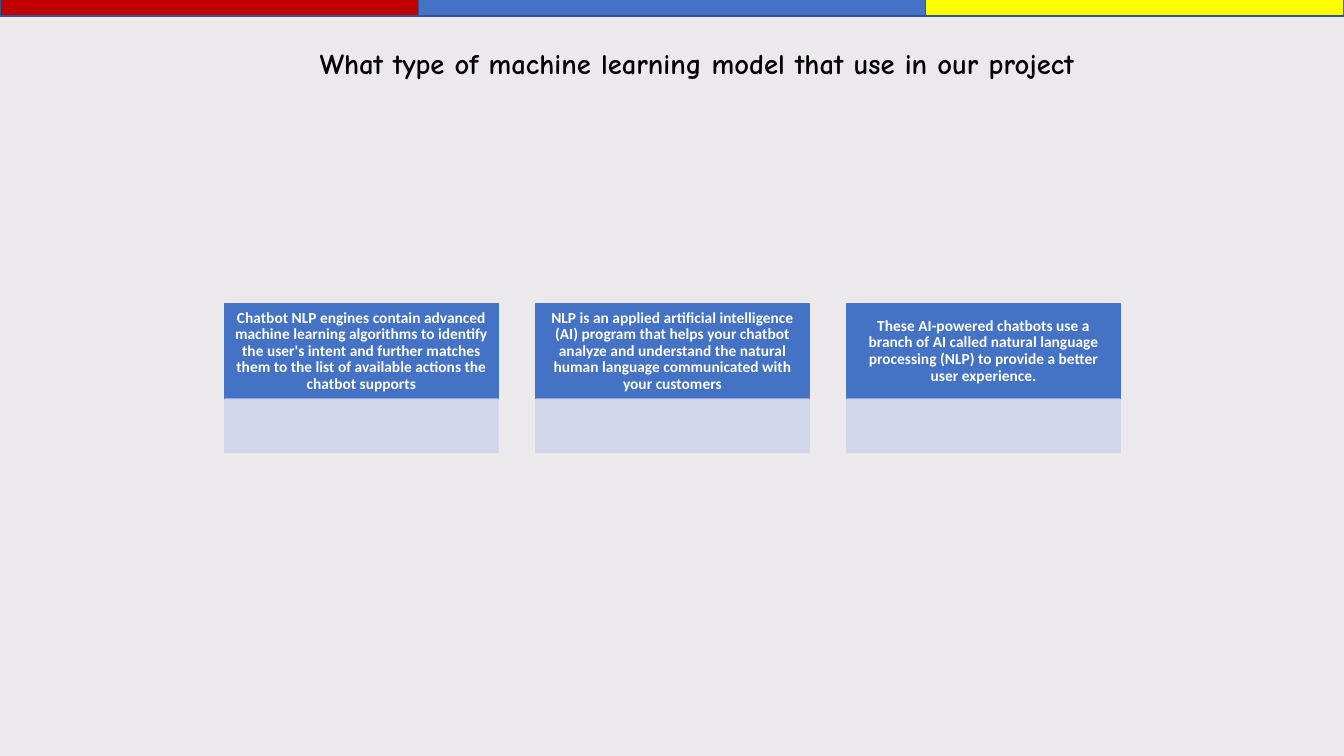
from dataclasses import dataclass

from lxml.etree import SubElement
from pptx import Presentation
from pptx.dml.color import RGBColor as Color
from pptx.enum.shapes import MSO_SHAPE as Shape
from pptx.enum.text import MSO_ANCHOR as Anchor, MSO_AUTO_SIZE as AutoSize, PP_ALIGN as Align
from pptx.oxml.ns import qn
from pptx.util import Inches, Pt

TITLE = "What type of machine learning model that use in our project"
CARDS = [
    "Chatbot NLP engines contain advanced machine learning algorithms to identify "
    "the user's intent and further matches them to the list of available actions "
    "the chatbot supports",
    "NLP is an applied artificial intelligence (AI) program that helps your chatbot "
    "analyze and understand the natural human language communicated with your customers",
    "These AI-powered chatbots use a branch of AI called natural language processing "
    "(NLP) to provide a better user experience.",
]


@dataclass(frozen=True)
class Theme:
    background: str = "ECE9EC"
    blue: str = "4472C4"
    red: str = "C00000"
    yellow: str = "FFFF00"
    outline: str = "325491"
    pale: str = "CFD5EA"
    black: str = "000000"
    white: str = "FFFFFF"
    title_font: str = "Comic Neue"
    body_font: str = "Calibri"
    title_size: float = 20.4
    body_size: float = 11


THEME = Theme()
WIDTH, HEIGHT = 13.33, 7.5
STRIPE_TOP, STRIPE_HEIGHT, STRIPE_WIDTH = -0.01, 0.17, 4.15
STRIPES = [
    (0, WIDTH, THEME.blue),
    (0, STRIPE_WIDTH, THEME.red),
    (WIDTH - STRIPE_WIDTH, STRIPE_WIDTH, THEME.yellow),
]
CARD_LEFT, CARD_TOP, CARD_WIDTH, CARD_STEP = 2.23, 3.01, 2.71, 3.085
HEAD_HEIGHT, FOOT_HEIGHT = 0.95, 0.53


def set_text(shape, text, *, font, size, color, spacing, anchor):
    frame = shape.text_frame
    frame.word_wrap = True
    frame.auto_size = AutoSize.NONE
    frame.vertical_anchor = anchor
    frame.margin_left = frame.margin_right = Inches(0.09)
    frame.margin_top = frame.margin_bottom = Inches(0.05)
    frame.text = text
    paragraph = frame.paragraphs[0]
    paragraph.alignment = Align.CENTER
    paragraph.line_spacing = spacing
    run_font = paragraph.runs[0].font
    run_font.name, run_font.size, run_font.bold = font, Pt(size), True
    run_font.color.rgb = Color.from_string(color)


def add_rectangle(slide, left, top, width, height, *, fill, line, opacity=100):
    shape = slide.shapes.add_shape(
        Shape.RECTANGLE, Inches(left), Inches(top), Inches(width), Inches(height)
    )
    shape.shadow.inherit = False
    shape.fill.solid()
    shape.fill.fore_color.rgb = Color.from_string(fill)
    shape.line.color.rgb = Color.from_string(line)
    shape.line.width = Pt(1)
    if opacity < 100:
        for color in shape.element.spPr.iter(qn("a:srgbClr")):
            SubElement(color, qn("a:alpha"), val=str(opacity * 1000))
    return shape


def main():
    """Build the machine learning model slide and save it."""
    presentation = Presentation()
    presentation.slide_width, presentation.slide_height = Inches(WIDTH), Inches(HEIGHT)
    slide = presentation.slides.add_slide(presentation.slide_layouts[5])
    slide.background.fill.solid()
    slide.background.fill.fore_color.rgb = Color.from_string(THEME.background)

    title = slide.shapes.title
    title.left, title.top = Inches(1.91), Inches(0.47)
    title.width, title.height = Inches(10), Inches(0.59)
    set_text(title, TITLE, font=THEME.title_font, size=THEME.title_size,
             color=THEME.black, spacing=0.8, anchor=Anchor.TOP)

    for left, width, color in STRIPES:
        add_rectangle(slide, left, STRIPE_TOP, width, STRIPE_HEIGHT,
                      fill=color, line=THEME.outline)

    for index, text in enumerate(CARDS):
        left = CARD_LEFT + index * CARD_STEP
        head = add_rectangle(slide, left, CARD_TOP, CARD_WIDTH, HEAD_HEIGHT,
                             fill=THEME.blue, line=THEME.blue)
        set_text(head, text, font=THEME.body_font, size=THEME.body_size,
                 color=THEME.white, spacing=0.9, anchor=Anchor.MIDDLE)
        add_rectangle(slide, left, CARD_TOP + HEAD_HEIGHT, CARD_WIDTH, FOOT_HEIGHT,
                      fill=THEME.pale, line=THEME.pale, opacity=90)

    presentation.save("out.pptx")


if __name__ == "__main__":
    main()
